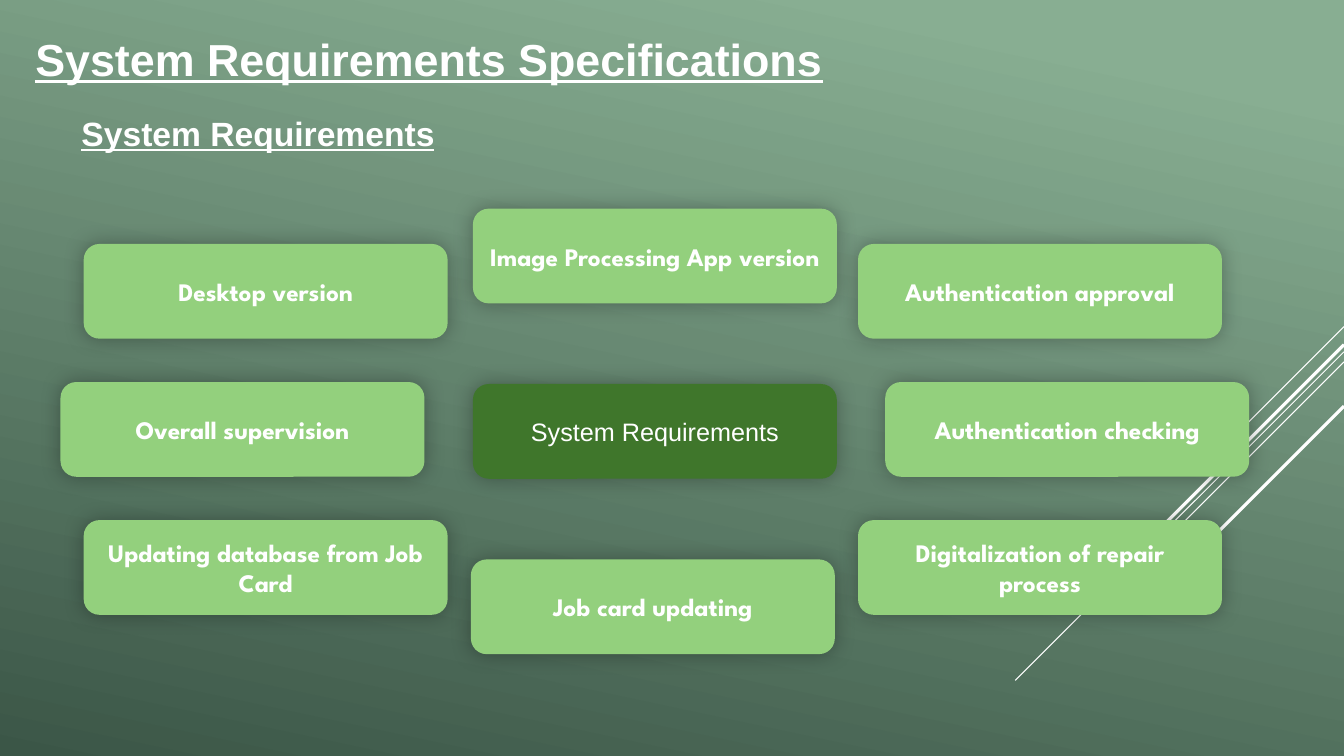
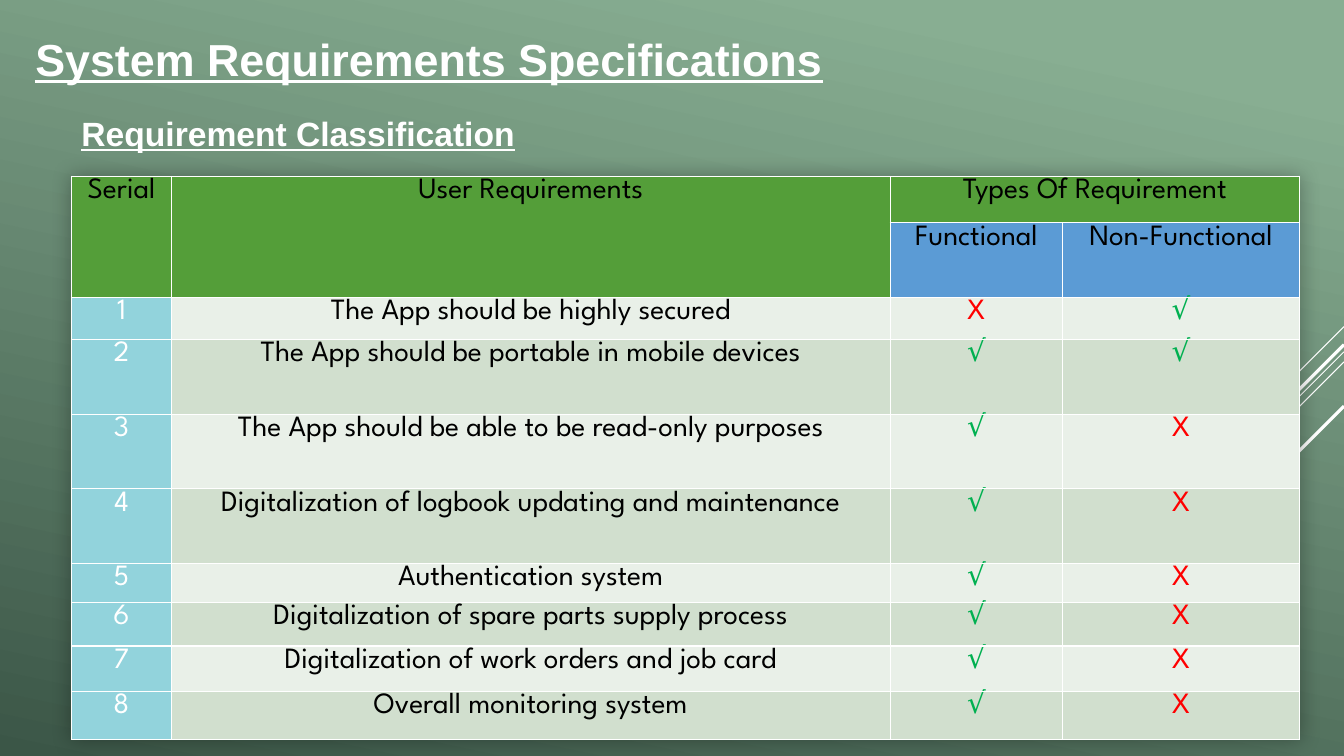
"""Build two slides on system requirements: a map of needs and a classification table."""
import lxml.etree
import pptx
import pptx.dml.color
import pptx.enum.shapes
import pptx.enum.text
import pptx.oxml.ns
import pptx.util

Inches = pptx.util.Inches
Pt = pptx.util.Pt
RGBColor = pptx.dml.color.RGBColor
SubElement = lxml.etree.SubElement
PP_ALIGN = pptx.enum.text.PP_ALIGN
MSO_ANCHOR = pptx.enum.text.MSO_ANCHOR
qn = pptx.oxml.ns.qn

WHITE = RGBColor(0xFF, 0xFF, 0xFF)
BLACK = RGBColor(0x00, 0x00, 0x00)
SAGE = RGBColor(0x88, 0xAE, 0x92)
PINE = RGBColor(0x3B, 0x56, 0x47)
LIGHT_GREEN = RGBColor(0x93, 0xD0, 0x7D)
DARK_GREEN = RGBColor(0x3F, 0x76, 0x2B)
HEADER_GREEN = RGBColor(0x54, 0x9E, 0x39)
HEADER_BLUE = RGBColor(0x5B, 0x9B, 0xD5)
SERIAL_BLUE = RGBColor(0x92, 0xD3, 0xDC)
BAND_COLORS = [RGBColor(0xE9, 0xF0, 0xE8), RGBColor(0xD1, 0xDF, 0xCE)]
MARK_COLORS = {"X": RGBColor(0xFF, 0x00, 0x00), "√": RGBColor(0x00, 0xB0, 0x50)}
HEADING_FONT = "Arial"
BODY_FONT = "League Spartan"


def write(text_frame, text, font_name, size, color, bold=False, underline=False, align=PP_ALIGN.CENTER):
    """Set one paragraph of text and its format."""
    text_frame.text = text
    paragraph = text_frame.paragraphs[0]
    paragraph.alignment = align
    font = paragraph.runs[0].font
    font.name, font.size, font.bold, font.underline = font_name, Pt(size), bold, underline
    font.color.rgb = color
    return paragraph


def add_soft_shadow(effect_list):
    """Put an even, blurred shadow into an effect list."""
    shadow = SubElement(effect_list, qn("a:outerShdw"), blurRad=str(Pt(15)), dist="0", dir="0", rotWithShape="0")
    color = SubElement(shadow, qn("a:srgbClr"), val=str(BLACK))
    SubElement(color, qn("a:alpha"), val="30000")


presentation = pptx.Presentation()
presentation.slide_width = Inches(13.33)
presentation.slide_height = Inches(7.5)
layout = presentation.slide_layouts[5]

background = presentation.slide_master.background.fill
background.gradient()
background.gradient_angle = 258
for stop, position, color in zip(background.gradient_stops, (0.1, 1), (SAGE, PINE)):
    stop.position = position
    stop.color.rgb = color

slides = []
for subtitle, subtitle_width in [("System Requirements", 3.85), ("Requirement Classification", 4.76)]:
    slide = presentation.slides.add_slide(layout)
    title = slide.shapes.title
    title.left, title.top, title.width, title.height = Inches(0.25), Inches(0), Inches(8.08), Inches(0.9)
    title.text_frame.vertical_anchor = MSO_ANCHOR.BOTTOM
    title.text_frame.auto_size = pptx.enum.text.MSO_AUTO_SIZE.NONE
    write(title.text_frame, "System Requirements Specifications", HEADING_FONT, 32, WHITE, True, True, PP_ALIGN.LEFT)
    subtitle_box = slide.shapes.add_textbox(Inches(0.71), Inches(1.07), Inches(subtitle_width), Inches(0.5))
    subtitle_box.text_frame.word_wrap = True
    write(subtitle_box.text_frame, subtitle, HEADING_FONT, 24, WHITE, True, True, PP_ALIGN.LEFT)
    slides.append(slide)
map_slide, table_slide = slides

diagonals = [(3.24, 1, 0.75), (3.49, 3.26, 0.75), (3.59, 2.07, 0.75), (3.42, 1.91, 2.25), (4.03, 1.39, 2.25)]
for number, (top, reach, weight) in enumerate(diagonals):
    diagonal = map_slide.shapes.add_connector(
        pptx.enum.shapes.MSO_CONNECTOR.STRAIGHT,
        Inches(13.33), Inches(top), Inches(13.33 - reach), Inches(top + reach),
    )
    diagonal.line.color.rgb = WHITE
    diagonal.line.width = Pt(weight)
    SubElement(diagonal.element.spPr, qn("a:effectLst"))
    diagonal.element.nvCxnSpPr.cNvPr.set("id", str(100 + number))
    layout.shapes.element.append(diagonal.element)

requirements = [
    ("Desktop version", 0.83, 2.42),
    ("Image Processing App version", 4.69, 2.07),
    ("Authentication approval", 8.51, 2.42),
    ("Overall supervision", 0.6, 3.79),
    ("System Requirements", 4.69, 3.81),
    ("Authentication checking", 8.78, 3.79),
    ("Updating database from Job Card", 0.83, 5.16),
    ("Job card updating", 4.67, 5.55),
    ("Digitalization of repair process", 8.51, 5.16),
]
for label, left, top in requirements:
    is_center = label == "System Requirements"
    box = map_slide.shapes.add_shape(
        pptx.enum.shapes.MSO_SHAPE.ROUNDED_RECTANGLE, Inches(left), Inches(top), Inches(3.61), Inches(0.94)
    )
    box.fill.solid()
    box.fill.fore_color.rgb = DARK_GREEN if is_center else LIGHT_GREEN
    box.line.fill.background()
    box.shadow.inherit = False
    add_soft_shadow(box.element.spPr.find(qn("a:effectLst")))
    box.text_frame.word_wrap = True
    box.text_frame.vertical_anchor = MSO_ANCHOR.MIDDLE
    write(box.text_frame, label, HEADING_FONT if is_center else BODY_FONT, 18, WHITE, not is_center)

table_rows = [
    ("Serial", "User Requirements", "Types Of Requirement", ""),
    ("", "", "Functional", "Non-Functional"),
    ("1", "The App should be highly secured", "X", "√"),
    ("2", "The App should be portable in mobile devices", "√", "√"),
    ("3", "The App should be able to be read-only purposes", "√", "X"),
    ("4", "Digitalization of logbook updating and maintenance", "√", "X"),
    ("5", "Authentication system", "√", "X"),
    ("6", "Digitalization of spare parts supply process", "√", "X"),
    ("7", "Digitalization of work orders and job card", "√", "X"),
    ("8", "Overall monitoring system", "√", "X"),
]
column_widths = [0.99, 7.13, 1.71, 2.35]
row_heights = [0.46, 0.74, 0.42, 0.74, 0.74, 0.74, 0.39, 0.43, 0.45, 0.48]
table = table_slide.shapes.add_table(
    len(table_rows), len(column_widths), Inches(0.71), Inches(1.75), Inches(12.18), Inches(5.58)
).table
table.first_row = False
table.horz_banding = False
table_effects = lxml.etree.Element(qn("a:effectLst"))
add_soft_shadow(table_effects)
table._tbl.tblPr.insert(0, table_effects)
for column, width in zip(table.columns, column_widths):
    column.width = Inches(width)
for row, height in zip(table.rows, row_heights):
    row.height = Inches(height)

for row_index, texts in enumerate(table_rows):
    for column_index, text in enumerate(texts):
        cell = table.cell(row_index, column_index)
        cell.margin_left = cell.margin_right = Inches(0.05)
        cell.margin_top = cell.margin_bottom = 0
        for side in ("a:lnL", "a:lnR", "a:lnT", "a:lnB"):
            border = SubElement(cell._tc.get_or_add_tcPr(), qn(side), w=str(Pt(1)))
            SubElement(SubElement(border, qn("a:solidFill")), qn("a:srgbClr"), val=str(WHITE))
        text_color = MARK_COLORS.get(text, BLACK)
        if row_index < 2:
            fill_color = HEADER_BLUE if row_index == 1 and column_index > 1 else HEADER_GREEN
        elif column_index == 0:
            fill_color, text_color = SERIAL_BLUE, WHITE
        else:
            fill_color = BAND_COLORS[row_index % 2]
        cell.fill.solid()
        cell.fill.fore_color.rgb = fill_color
        if text:
            write(cell.text_frame, text, BODY_FONT, 21, text_color).line_spacing = 1.07

for first, last in [((0, 0), (1, 0)), ((0, 1), (1, 1)), ((0, 2), (0, 3))]:
    table.cell(*first).merge(table.cell(*last))

presentation.save("out.pptx")
